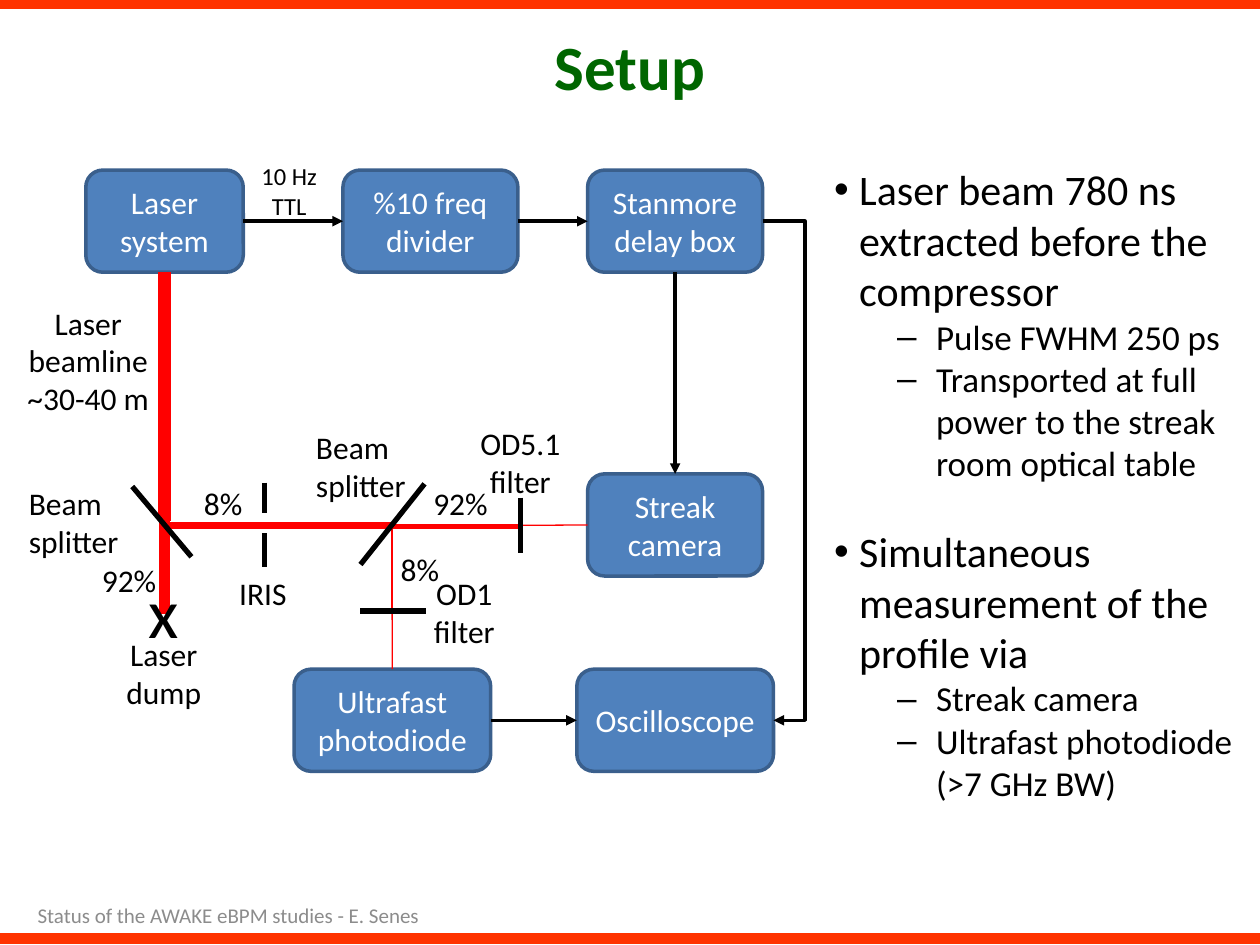
from lxml.etree import SubElement
from pptx import Presentation
from pptx.dml.color import RGBColor
from pptx.enum.shapes import MSO_CONNECTOR as Link, MSO_SHAPE as Preset
from pptx.enum.text import MSO_ANCHOR as Anchor, MSO_AUTO_SIZE as AutoSize, PP_ALIGN as Align
from pptx.oxml.ns import qn
from pptx.util import Pt

COLORS = {"bar": "FF3300", "title": "006600", "footer": "8C8C8C", "text": "000000",
          "box": "4F81BD", "edge": "3A5F8C", "white": "FFFFFF", "beam": "FF0000"}
TOP, LEFT, BOTTOM, RIGHT = range(4)

# Content: (level, text, space before)
BULLETS = [
    (0, "Laser beam 780 ns extracted before the compressor", 0),
    (1, "Pulse FWHM 250 ps", 0),
    (1, "Transported at full power to the streak room optical table", 0),
    (0, "Simultaneous measurement of the profile via", 24.4),
    (1, "Streak camera", 0),
    (1, "Ultrafast photodiode (>7 GHz BW)", 0),
]
LEVELS = [dict(size=24, margin=14.4, hang=-14.4), dict(size=20, margin=58.3, hang=-22.3)]

# Devices: name -> (text, centre x, top, width)
BOX_HEIGHT = 58.4
ROWS = (97.2, 270.8, 382.4)
DEVICES = {
    "laser": ("Laser system", 94, ROWS[0], 90),
    "divider": ("%10 freq divider", 246, ROWS[0], 100),
    "delay": ("Stanmore delay box", 385.8, ROWS[0], 100),
    "streak": ("Streak camera", 385.8, ROWS[1], 100),
    "diode": ("Ultrafast photodiode", 224.2, ROWS[2], 112.4),
    "scope": ("Oscilloscope", 385.8, ROWS[2], 112.4),
}
SIGNALS = [("laser", RIGHT, "divider", LEFT), ("divider", RIGHT, "delay", LEFT),
           ("delay", BOTTOM, "streak", TOP), ("diode", RIGHT, "scope", LEFT)]
ELBOW_X = 460

# Optics: (x1, y1, x2, y2, width); the beams share one axis
AXIS = 300.2
BEAMS = [
    (94, 156, 94, 350.6, 6),
    (94, AXIS, 224, AXIS, 3.75),
    (224, AXIS + 0.7, 297.4, AXIS + 0.7, 3),
    (224, AXIS, 224, 349.2, 1.5),
]
JOINED_BEAMS = [  # start, end, width, device, side, is the joined end the start
    ((94, 156), (94, 298), 8, "laser", BOTTOM, True),
    ((296, AXIS), (335.8, AXIS), 0.75, "streak", LEFT, False),
    ((224, 331.2), (224, 382.4), 0.75, "diode", TOP, False),
]
PLATES = [
    (75.6, 278, 109.4, 318.2, 3),      # first splitter
    (242.6, 276.5, 206, 322.6, 3),     # second splitter
    (151, 275.8, 151, 293, 3),         # iris, upper blade
    (151, 304.6, 151, 324, 3),         # iris, lower blade
    (297.4, 284.4, 297.4, 316, 3),     # OD5.1 filter
    (243.4, 349.2, 206, 349.2, 3),     # OD1 filter
]

# Labels: (text, left, top, width, height, format)
CENTER = dict(align=Align.CENTER)
LABELS = [
    ("10 Hz\nTTL", 141.8, 88.6, 46.8, 41, dict(size=14, align=Align.CENTER)),
    ("Laser\vbeamline\n~30-40 m", 7.9, 169.9, 85, 72.7, CENTER),
    ("Beam\vsplitter", 9.4, 272.9, 67, 51, {}),
    ("Beam\vsplitter", 173.5, 241.2, 67, 51, {}),
    ("OD5.1\nfilter", 267.1, 239, 60.5, 51, CENTER),
    ("OD1\nfilter", 240.5, 324.7, 49.7, 51, CENTER),
    ("8%", 109.4, 272.9, 36.7, 29, {}),
    ("8%", 221.8, 311, 36.7, 29, {}),
    ("92%", 51.1, 316.8, 46, 29, {}),
    ("92%", 240.5, 272.9, 46, 29, {}),
    ("IRIS", 129.6, 324.7, 41.8, 29, {}),
    ("x", 77.8, 321.1, 32.4, 55.4, dict(size=40)),
    ("Laser\ndump", 64.8, 359.3, 57.6, 51, CENTER),
]


def rgb(name):
    return RGBColor.from_string(COLORS[name])


def write_text(frame, text, size=18, color="text", align=Align.LEFT, bold=False,
               anchor=Anchor.TOP, wrap=True):
    frame.word_wrap = wrap
    frame.auto_size = AutoSize.NONE
    frame.vertical_anchor = anchor
    frame.text = text
    for para in frame.paragraphs:
        para.alignment = align
        for span in para.runs:
            span.font.name, span.font.size, span.font.bold = "Calibri", Pt(size), bold
            span.font.color.rgb = rgb(color)


def add_line(x1, y1, x2, y2, width, color="text", arrow=False, kind=Link.STRAIGHT):
    line = page.shapes.add_connector(kind, Pt(x1), Pt(y1), Pt(x2), Pt(y2))
    line.line.width = Pt(width)
    line.line.color.rgb = rgb(color)
    if arrow:
        SubElement(line.line._get_or_add_ln(), qn("a:tailEnd"), type="triangle")
    SubElement(line._element.spPr, qn("a:effectLst"))
    return line


def join(line, start, start_side, end, end_side):
    line.begin_connect(boxes[start], start_side)
    line.end_connect(boxes[end], end_side)


def place(shape, left, top, width, height):
    shape.left, shape.top, shape.width, shape.height = map(Pt, (left, top, width, height))


deck = Presentation()
deck.slide_width, deck.slide_height = Pt(720), Pt(540)
page = deck.slides.add_slide(deck.slide_layouts[1])

# Bars at the slide's edges
for y in (2.2, 536.4):
    add_line(-1.4, y, 720, y, 6, "bar")

# Title, list and footer
title, body = page.shapes.title, page.placeholders[1]
place(title, 36, 9.4, 648, 56.2)
write_text(title.text_frame, "Setup", size=36, color="title", bold=True,
           align=Align.CENTER, anchor=Anchor.MIDDLE)
place(body, 469.4, 90, 245.5, 391)
write_text(body.text_frame, "\n".join(text for _, text, _ in BULLETS))
for para, (level, _, gap) in zip(body.text_frame.paragraphs, BULLETS):
    style = LEVELS[level]
    para.level = level
    para.space_before = Pt(gap)
    para.runs[0].font.size = Pt(style["size"])
    properties = para._p.get_or_add_pPr()
    properties.set("marL", str(Pt(style["margin"])))
    properties.set("indent", str(Pt(style["hang"])))
footer = page.shapes.add_textbox(Pt(14.4), Pt(508.3), Pt(463), Pt(28.8))
write_text(footer.text_frame, "Status of the AWAKE eBPM studies - E. Senes",
           size=12, color="footer", anchor=Anchor.MIDDLE)

# Device boxes
boxes = {}
for name, (text, center, top, width) in DEVICES.items():
    box = page.shapes.add_shape(Preset.ROUNDED_RECTANGLE, Pt(center - width / 2), Pt(top),
                                Pt(width), Pt(BOX_HEIGHT))
    box.shadow.inherit = False
    box.fill.solid()
    box.fill.fore_color.rgb = rgb("box")
    box.line.color.rgb = rgb("edge")
    box.line.width = Pt(2)
    write_text(box.text_frame, text, color="white", align=Align.CENTER, anchor=Anchor.MIDDLE)
    boxes[name] = box

# Laser beams and optics
for start, end, width, device, side, at_start in JOINED_BEAMS:
    beam = add_line(*start, *end, width, "beam")
    (beam.begin_connect if at_start else beam.end_connect)(boxes[device], side)
for beam in BEAMS:
    add_line(*beam, "beam")
for plate in PLATES:
    add_line(*plate)

# Signal arrows, and the elbow from the delay box to the oscilloscope
for signal in SIGNALS:
    join(add_line(0, 0, 9, 9, 2, arrow=True), *signal)
elbow = add_line(0, 0, 9, 9, 2, arrow=True, kind=Link.ELBOW)
join(elbow, "delay", RIGHT, "scope", RIGHT)
bend = round((Pt(ELBOW_X) - elbow.begin_x) / (elbow.end_x - elbow.begin_x) * 100000)
geometry = elbow._element.spPr.find(qn("a:prstGeom"))
SubElement(geometry.find(qn("a:avLst")), qn("a:gd"), name="adj1", fmla=f"val {bend}")

# Labels
for text, left, top, width, height, style in LABELS:
    label = page.shapes.add_textbox(Pt(left), Pt(top), Pt(width), Pt(height))
    write_text(label.text_frame, text, wrap=False, **style)

deck.save("out.pptx")
